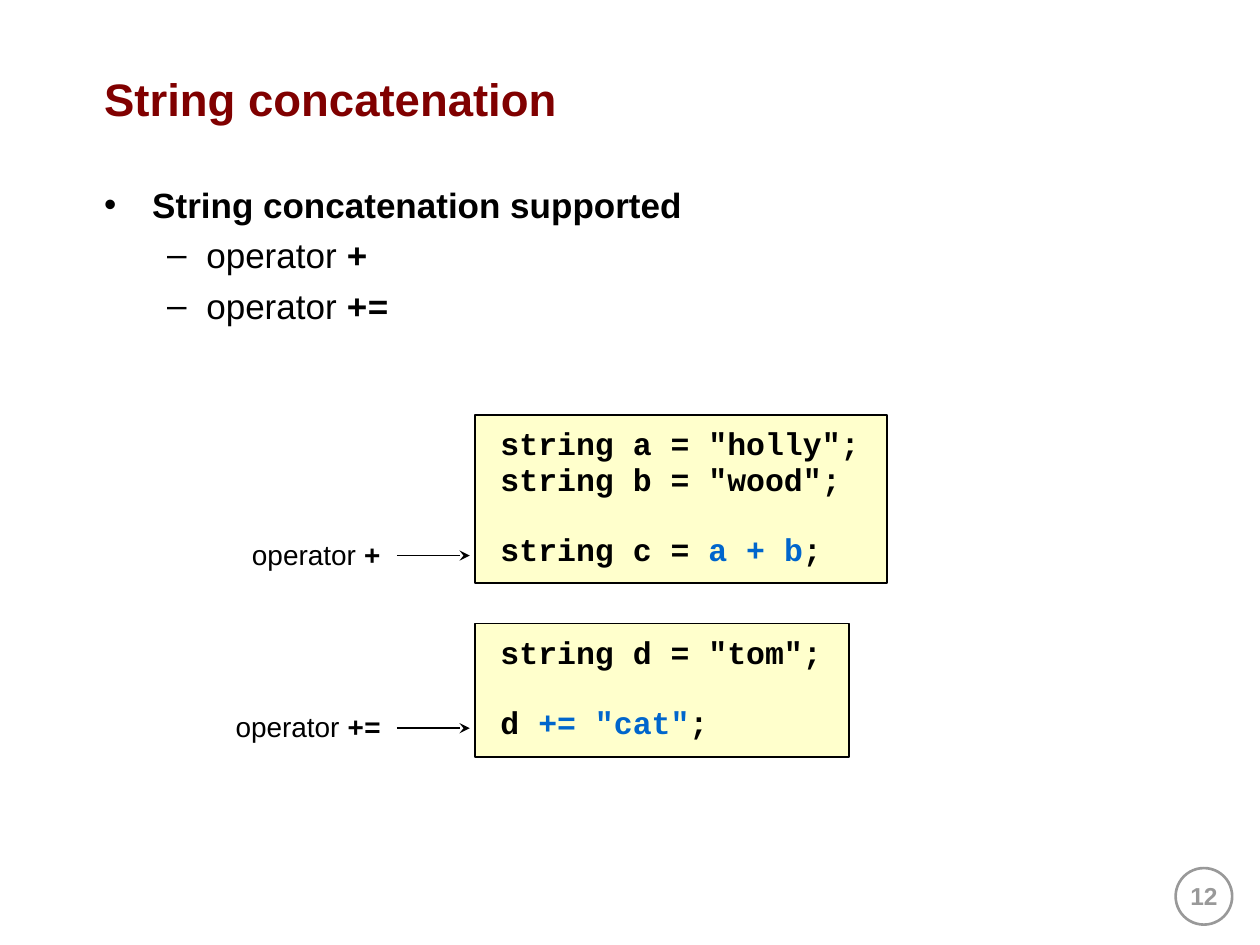
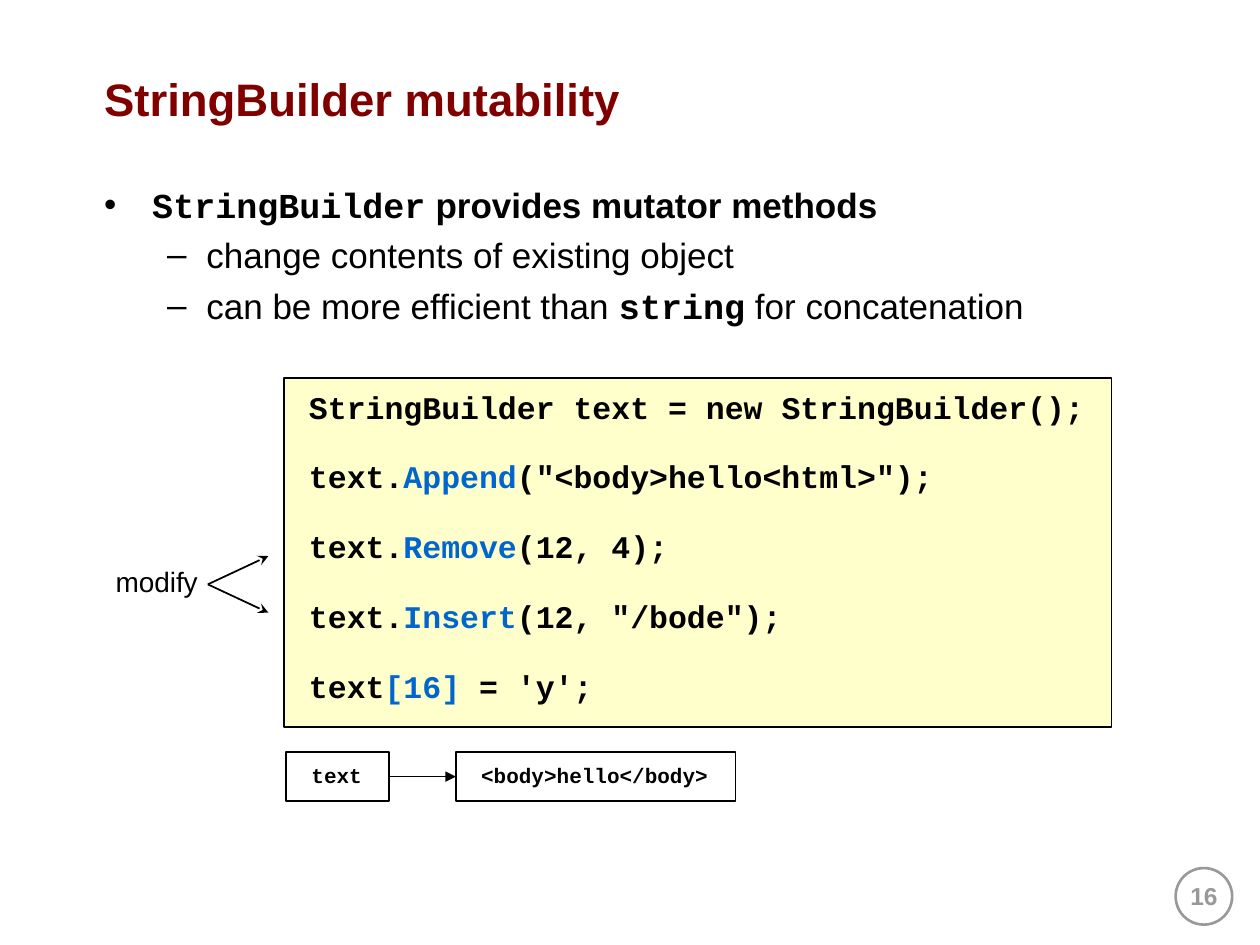
"""Builds two slides on joining and changing strings."""
from lxml.etree import SubElement as Sub
from pptx import Presentation as Deck
from pptx.dml.color import RGBColor as Rgb
from pptx.enum.shapes import MSO_CONNECTOR as Link, MSO_SHAPE as Kind
from pptx.enum.text import MSO_ANCHOR as Anchor, MSO_AUTO_SIZE as Fit, PP_ALIGN as Align
from pptx.oxml.ns import qn
from pptx.util import Cm, Pt

BLACK = Rgb(0x00, 0x00, 0x00)
WHITE = Rgb(0xFF, 0xFF, 0xFF)
GREY = Rgb(0x99, 0x99, 0x99)
RED = Rgb(0x80, 0x00, 0x00)
BLUE = Rgb(0x00, 0x66, 0xCC)
CREAM = Rgb(0xFF, 0xFF, 0xCC)

LOOKS = {
    "sans": ("Arial", False, BLACK),
    "bold": ("Arial", True, BLACK),
    "title": ("Arial", True, RED),
    "page": ("Arial", True, GREY),
    "code": ("Courier New", True, BLACK),
    "key": ("Courier New", True, BLUE),
}
LEVELS = [("•", 0.97, 0.97), ("–", 2.06, 0.79)]
TIGHT = 0.95
LINE = 1.133 * TIGHT

JOIN = {
    "title": "String concatenation",
    "page": "12",
    "points": [
        (0, [("String concatenation supported", "bold")]),
        (1, [("operator ", "sans"), ("+", "code")]),
        (1, [("operator ", "sans"), ("+=", "code")]),
    ],
    "codes": [
        ((9.58, 8.36, 8.31, 3.4), [
            [("string a = \"holly\";", "code")],
            [("string b = \"wood\";", "code")],
            [],
            [("string c = ", "code"), ("a + b", "key"), (";", "code")],
        ]),
        ((9.58, 12.57, 7.54, 2.69), [
            [("string d = \"tom\";", "code")],
            [],
            [("d ", "code"), ("+= \"cat\"", "key"), (";", "code")],
        ]),
    ],
    "notes": [
        ((4.83, 10.72, 3.23, 1.02), [("operator ", "sans"), ("+", "code")]),
        ((4.5, 14.17, 3.56, 1.02), [("operator ", "sans"), ("+=", "code")]),
    ],
    "arrows": [(8, y, 9.47, y) for y in (11.2, 14.68)],
    "cells": [],
}
CHANGE = {
    "title": "StringBuilder mutability",
    "page": "16",
    "points": [
        (0, [("StringBuilder", "code"), (" provides mutator methods", "bold")]),
        (1, [("change contents of existing object", "sans")]),
        (1, [("can be more efficient than ", "sans"), ("string", "code"),
             (" for concatenation", "sans")]),
    ],
    "codes": [
        ((5.72, 7.62, 16.69, 7.04), [
            [("StringBuilder text = new StringBuilder();", "code")],
            [],
            [("text.", "code"), ("Append", "key"), ("(\"<body>hello<html>\");", "code")],
            [],
            [("text.", "code"), ("Remove", "key"), ("(12, 4);", "code")],
            [],
            [("text.", "code"), ("Insert", "key"), ("(12, \"/bode\");", "code")],
            [],
            [("text", "code"), ("[16]", "key"), (" = 'y';", "code")],
        ]),
    ],
    "notes": [((2.08, 11.25, 2.29, 1.02), [("modify", "sans")])],
    "arrows": [(4.19, 11.78, 5.41, 11.78 + rise) for rise in (-0.57, 0.57)],
    "cells": [((5.77, 15.16, 2.08, 0.99), "text"),
              ((9.19, 15.16, 5.64, 0.99), "<body>hello</body>")],
}


def cms(nums):
    """Turn plain numbers into lengths."""
    return [Cm(num) for num in nums]


def write(para, parts, size):
    """Fill a paragraph with styled runs."""
    for text, look in parts:
        run = para.add_run()
        run.text = text
        font = run.font
        font.name, font.bold, font.color.rgb = LOOKS[look]
        font.size = Pt(size)


def label(slide, spot, parts, size, wrap=True):
    """Add a text box with one paragraph."""
    frame = slide.shapes.add_textbox(*cms(spot)).text_frame
    frame.word_wrap = wrap
    frame.auto_size = Fit.NONE if wrap else Fit.SHAPE_TO_FIT_TEXT
    write(frame.paragraphs[0], parts, size)
    return frame


def shape(slide, kind, spot, fill, edge, width):
    """Add a preset shape; no fill colour leaves it clear."""
    form = slide.shapes.add_shape(kind, *cms(spot))
    form.shadow.inherit = False
    if fill is None:
        form.fill.background()
    else:
        form.fill.solid()
        form.fill.fore_color.rgb = fill
    form.line.color.rgb = edge
    form.line.width = Pt(width)
    return form


def code(slide, spot, rows, size, fill=None):
    """Add a framed code box; an empty row becomes space before the next."""
    box = shape(slide, Kind.RECTANGLE, spot, fill, BLACK, 1)
    frame = box.text_frame
    frame.word_wrap = False
    frame.auto_size = Fit.SHAPE_TO_FIT_TEXT
    frame.vertical_anchor = Anchor.TOP
    frame.margin_left = frame.margin_right = Cm(0.51)
    frame.margin_top = frame.margin_bottom = Cm(0.25)
    for i, row in enumerate(rows):
        if not row:
            continue
        para = frame.add_paragraph() if i else frame.paragraphs[0]
        para.alignment = Align.LEFT
        para.line_spacing = TIGHT
        if i and not rows[i - 1]:
            para.space_before = Pt(size * LINE)
        write(para, row, size)
    return box


def arrow(slide, ends, head, width):
    """Add a straight arrow."""
    line = slide.shapes.add_connector(Link.STRAIGHT, *cms(ends))
    line.line.color.rgb = BLACK
    line.line.width = Pt(width)
    Sub(line.line._get_or_add_ln(), qn("a:tailEnd"), type=head)
    Sub(line._element.spPr, qn("a:effectLst"))
    return line


def points(slide, items):
    """Add the bulleted body text."""
    frame = slide.shapes.add_textbox(*cms((1.85, 3.51, 22.28, 13.26))).text_frame
    frame.word_wrap = True
    frame.margin_top = Cm(0.18)
    for i, (level, parts) in enumerate(items):
        para = frame.add_paragraph() if i else frame.paragraphs[0]
        mark, left, hang = LEVELS[level]
        props = para._p.get_or_add_pPr()
        props.set("marL", str(Cm(left)))
        props.set("indent", str(-Cm(hang)))
        tint = Sub(props, qn("a:buClr"))
        Sub(tint, qn("a:srgbClr"), val=str(BLACK))
        Sub(props, qn("a:buFont"), typeface="Arial")
        Sub(props, qn("a:buChar"), char=mark)
        para.level = level
        if i:
            para.space_before = Pt(5)
        write(para, parts, 20)


def build(deck, data):
    """Add one slide."""
    slide = deck.slides.add_slide(deck.slide_layouts[6])
    shape(slide, Kind.OVAL, (23.7, 17.5, 1.14, 1.14), WHITE, GREY, 1.5)
    page = label(slide, (23.32, 17.63, 1.9, 1.27), [(data["page"], "page")], 14)
    page.paragraphs[0].alignment = Align.CENTER
    title = label(slide, (1.85, 0.51, 22.28, 2.95), [(data["title"], "title")], 26)
    title.vertical_anchor = Anchor.MIDDLE
    points(slide, data["points"])
    for spot, rows in data["codes"]:
        code(slide, spot, rows, 18, CREAM)
    for spot, parts in data["notes"]:
        label(slide, spot, parts, 16, False)
    for ends in data["arrows"]:
        arrow(slide, ends, "stealth", 1)
    cells = [code(slide, spot, [[(text, "code")]], 12) for spot, text in data["cells"]]
    for start, end in zip(cells, cells[1:]):
        line = arrow(slide, (0, 0, 1, 1), "triangle", 0.75)
        line.begin_connect(start, 3)
        line.end_connect(end, 1)


def main():
    """Build and save the deck."""
    deck = Deck()
    deck.slide_width, deck.slide_height = cms((25.4, 19.05))
    for data in (JOIN, CHANGE):
        build(deck, data)
    deck.save("out.pptx")


if __name__ == "__main__":
    main()
